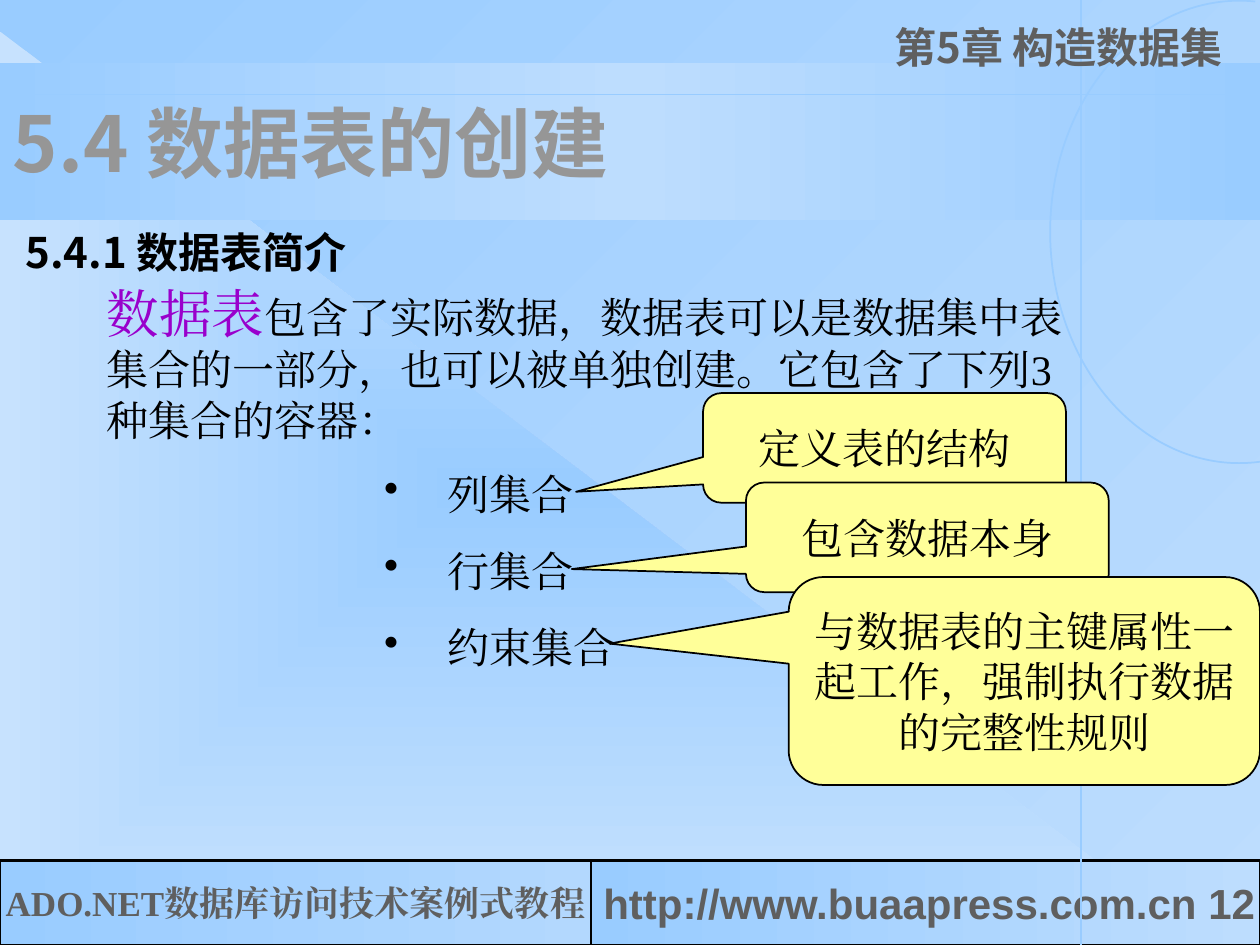
import pptx
import pptx.dml.color
import pptx.enum.dml
import pptx.enum.shapes
import pptx.enum.text
import pptx.oxml
import pptx.oxml.ns
import pptx.util
from lxml import etree

RGBColor = pptx.dml.color.RGBColor
SHAPE = pptx.enum.shapes.MSO_SHAPE
ALIGN = pptx.enum.text.PP_ALIGN
ANCHOR = pptx.enum.text.MSO_ANCHOR
qn = pptx.oxml.ns.qn

WIDTH, HEIGHT = 10, 7.5
SKY = RGBColor(0x99, 0xCC, 0xFF)
MIST = RGBColor(0xB3, 0xD8, 0xFE)
PALE = RGBColor(0xBD, 0xDD, 0xFE)
PALEST = RGBColor(0xC7, 0xE2, 0xFE)
BLACK = RGBColor(0, 0, 0)
GRAY = RGBColor(0x5F, 0x5F, 0x5F)
TITLE_GRAY = RGBColor(0x96, 0x96, 0x96)
PURPLE = RGBColor(0x99, 0x00, 0xCC)
YELLOW = RGBColor(0xFF, 0xFF, 0x99)
SERIF, SANS, CHINESE = "Times New Roman", "Arial", "Noto Sans CJK SC"


def inches(*lengths):
    return [pptx.util.Inches(length) for length in lengths]


def set_font(font, size, name=SERIF, color=BLACK, bold=False):
    """Format a font, using one typeface for Latin and East Asian text."""
    font.size, font.bold, font.name = pptx.util.Pt(size), bold, name
    font.color.rgb = color
    latin = font._element.find(qn("a:latin")) if hasattr(font, "_element") else font._rPr.find(qn("a:latin"))
    east_asian = etree.Element(qn("a:ea"), typeface=name)
    latin.addnext(east_asian)


def gradient_element(colors, angle=None):
    """Evenly spaced stops; without an angle the gradient spreads from the centre."""
    gradient = etree.Element(qn("a:gradFill"), rotWithShape="1")
    stops = etree.SubElement(gradient, qn("a:gsLst"))
    for index, color in enumerate(colors):
        position = 100000 * index // (len(colors) - 1)
        stop = etree.SubElement(stops, qn("a:gs"), pos=str(position))
        etree.SubElement(stop, qn("a:srgbClr"), val=str(color))
    if angle is None:
        spread = etree.SubElement(gradient, qn("a:path"))
        spread.set("path", "rect")
        etree.SubElement(spread, qn("a:fillToRect"), l="50000", t="50000", r="50000", b="50000")
    else:
        etree.SubElement(gradient, qn("a:lin"), ang=str(angle * 60000), scaled="0")
    return gradient


def add_shape(slide, kind, box, line=None, line_width=1):
    shape = slide.shapes.add_shape(kind, *inches(*box))
    shape.shadow.inherit = False
    shape.fill.background()
    if line is None:
        shape.line.fill.background()
    else:
        shape.line.color.rgb = line
        shape.line.width = pptx.util.Pt(line_width)
    return shape


def add_gradient_shape(slide, kind, box, colors, angle=None, **line):
    shape = add_shape(slide, kind, box, **line)
    blank = shape.element.spPr.find(qn("a:noFill"))
    blank.getparent().replace(blank, gradient_element(colors, angle))
    return shape


def write(shape, text, size, align=ALIGN.LEFT, wrap=True, **font):
    """Put one uniform paragraph into a shape."""
    shape.text_frame.word_wrap = wrap
    paragraph = shape.text_frame.paragraphs[0]
    paragraph.text = text
    paragraph.alignment = align
    set_font(paragraph.font, size, **font)
    return paragraph


def add_text_box(slide, box):
    shape = slide.shapes.add_textbox(*inches(*box))
    shape.text_frame.word_wrap = True
    return shape


def add_guide(slide, start, end, width):
    connector = slide.shapes.add_connector(
        pptx.enum.shapes.MSO_CONNECTOR.STRAIGHT, *inches(*start, *end))
    connector.line.color.rgb = SKY
    connector.line.width = pptx.util.Pt(width)
    etree.SubElement(connector.element.spPr, qn("a:effectLst"))


def add_backdrop(slide, band):
    fill = slide.background.fill
    fill.gradient()
    old = slide.background._cSld.bg.bgPr.find(qn("a:gradFill"))
    old.getparent().replace(old, gradient_element([PALE, SKY], 225))
    add_gradient_shape(slide, SHAPE.RIGHT_TRIANGLE, (0, 0.25, 9.58, HEIGHT - 0.25), [SKY, PALEST])
    add_gradient_shape(slide, SHAPE.RECTANGLE, band, [SKY, PALE, SKY], 180)


def add_footer(slide, top, split):
    height = HEIGHT - top
    border = {"line": BLACK, "line_width": 1.5}
    book = add_gradient_shape(slide, SHAPE.RECTANGLE, (0, top, split, height), [MIST, SKY], 180, **border)
    write(book, "ADO.NET数据库访问技术案例式教程", 20, ALIGN.CENTER, False, color=GRAY, bold=True)
    site = add_gradient_shape(slide, SHAPE.RECTANGLE, (split, top, WIDTH - split, height),
                              [SKY, PALE], 180, **border)
    site.element.spPr.find(qn("a:xfrm")).set("flipH", "1")
    write(site, "http://www.buaapress.com.cn 12", 24, wrap=False, name=SANS, color=GRAY, bold=True)


def add_ornaments(slide):
    add_guide(slide, (0, 0.75), (WIDTH, 0.75), 1)
    add_guide(slide, (8.58, 0), (8.58, HEIGHT), 1.5)
    arc = add_shape(slide, SHAPE.ARC, (8, 0.34, 3.67, 3), line=SKY)
    arc.rotation = 270
    for index, degrees in enumerate((170, 4)):
        arc.adjustments[index] = degrees * 0.6


def add_headings(slide, band):
    chapter = add_text_box(slide, (7, 0, 3, 1.14))
    write(chapter, "第5章 构造数据集", 24, name=CHINESE, color=GRAY, bold=True).line_spacing = 1.3
    title = slide.shapes.title
    title.left, title.top, title.width, title.height = inches(*band)
    title.text_frame.auto_size = pptx.enum.text.MSO_AUTO_SIZE.NONE
    title.text_frame.vertical_anchor = ANCHOR.MIDDLE
    write(title, "5.4 数据表的创建", 44, name=CHINESE, color=TITLE_GRAY, bold=True)
    title.element.getparent().append(title.element)
    section = add_text_box(slide, (0.02, 1.75, 2.83, 0.5))
    write(section, "5.4.1 数据表简介", 24, ALIGN.RIGHT, False, name=CHINESE, bold=True)


def add_introduction(slide, box):
    paragraph = add_text_box(slide, box).text_frame.paragraphs[0]
    for text, size, color in (
        ("数据表", 30, PURPLE),
        ("包含了实际数据，数据表可以是数据集中表集合的一部分，也可以被单独创建。它包含了下列3种集合的容器：", 24, BLACK),
    ):
        run = paragraph.add_run()
        run.text = text
        set_font(run.font, size, color=color)


def add_bullets(slide, box, items):
    frame = add_text_box(slide, box).text_frame
    for index, item in enumerate(items):
        paragraph = frame.add_paragraph() if index else frame.paragraphs[0]
        paragraph.text = item
        if index:
            paragraph.space_before = pptx.util.Pt(15)
        properties = paragraph._p.get_or_add_pPr()
        indent = pptx.util.Inches(0.5)
        properties.set("marL", str(indent))
        properties.set("indent", str(-indent))
        etree.SubElement(properties, qn("a:buChar"), char="•")
        set_font(paragraph.font, 24)


def add_callout(slide, box, pointer, text):
    callout = add_shape(slide, SHAPE.ROUNDED_RECTANGULAR_CALLOUT, box, line=BLACK)
    callout.fill.solid()
    callout.fill.fore_color.rgb = YELLOW
    for index, value in enumerate(pointer):
        callout.adjustments[index] = value
    callout.text_frame.vertical_anchor = ANCHOR.MIDDLE
    write(callout, text, 24, ALIGN.CENTER)


def main():
    presentation = pptx.Presentation()
    presentation.slide_width, presentation.slide_height = inches(WIDTH, HEIGHT)
    slide = presentation.slides.add_slide(presentation.slide_layouts[5])
    band = (0, 0.5, WIDTH, 1.25)
    add_backdrop(slide, band)
    add_footer(slide, 6.83, 4.69)
    add_ornaments(slide)
    add_introduction(slide, (0.75, 2.18, 7.95, 1.4))
    add_bullets(slide, (2.95, 3.67, 5.12, 1.72), ["列集合", "行集合", "约束集合"])
    for box, pointer, text in (
        ((5.58, 3.12, 2.88, 0.87), (-0.85, 0.4), "定义表的结构"),
        ((5.92, 3.83, 2.88, 0.87), (-0.98, 0.29), "包含数据本身"),
        ((6.26, 4.58, 3.74, 1.65), (-0.88, -0.18), "与数据表的主键属性一起工作，强制执行数据的完整性规则"),
    ):
        add_callout(slide, box, pointer, text)
    add_headings(slide, band)
    presentation.save("out.pptx")


if __name__ == "__main__":
    main()
